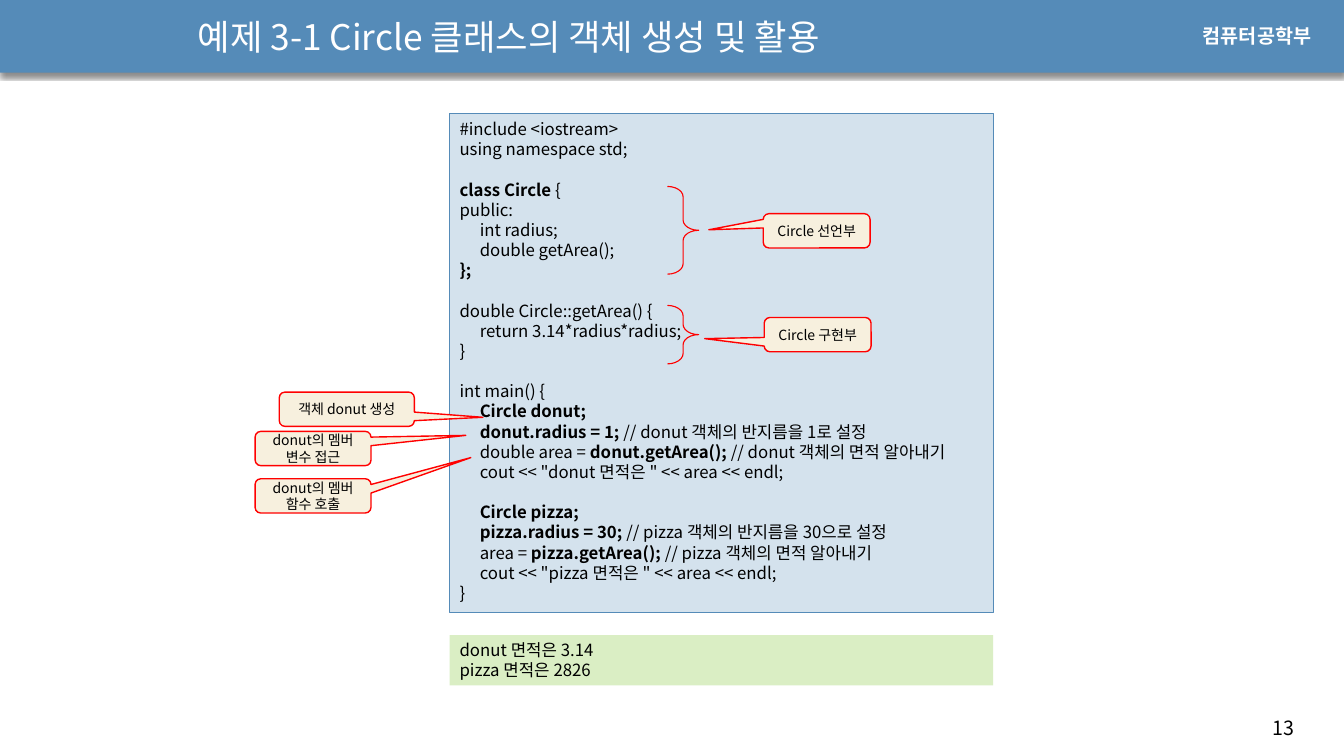
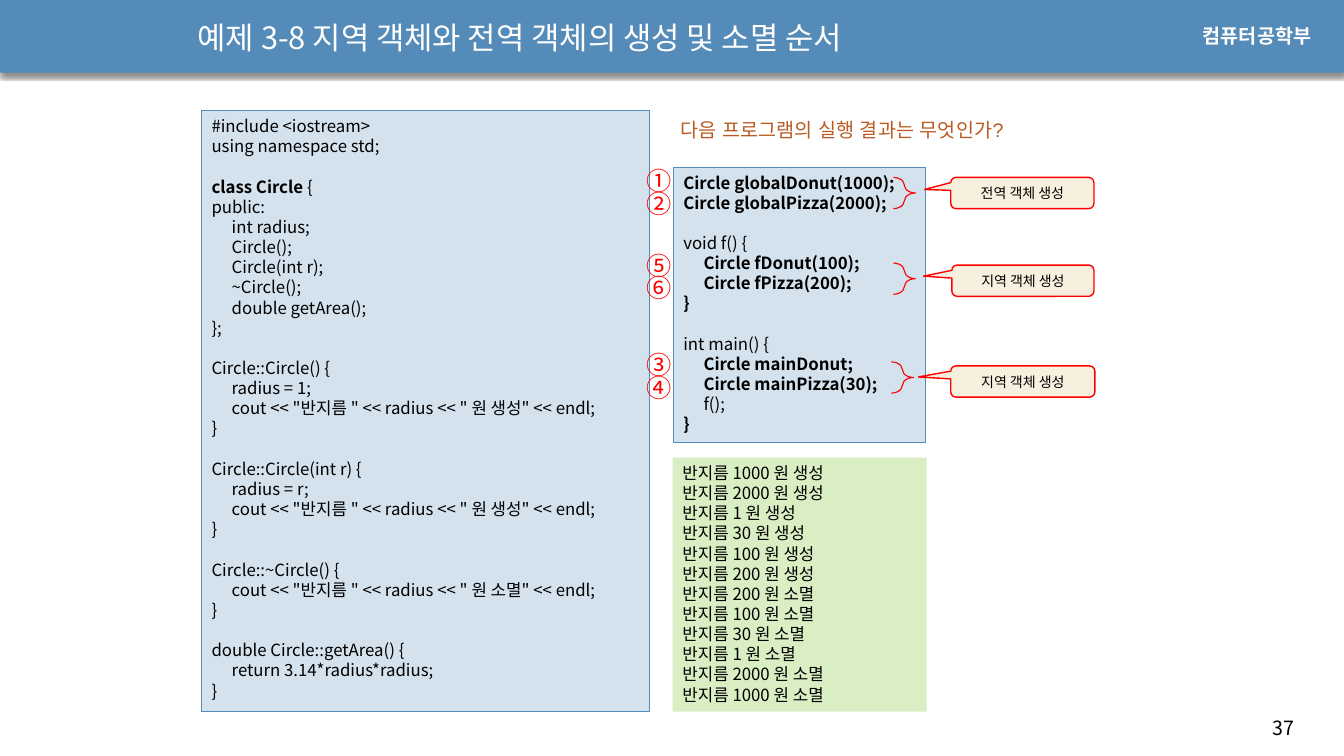
from lxml import etree
from pptx import Presentation
from pptx.dml.color import RGBColor
from pptx.enum.shapes import MSO_SHAPE
from pptx.enum.text import MSO_ANCHOR, MSO_AUTO_SIZE, PP_ALIGN
from pptx.oxml.ns import qn
from pptx.util import Inches, Pt

RECTANGLE = MSO_SHAPE.RECTANGLE
CALLOUT = MSO_SHAPE.ROUNDED_RECTANGULAR_CALLOUT
BRACE = MSO_SHAPE.RIGHT_BRACE
LEFT, CENTER = PP_ALIGN.LEFT, PP_ALIGN.CENTER
TOP, MIDDLE = MSO_ANCHOR.TOP, MSO_ANCHOR.MIDDLE
NO_AUTOFIT = MSO_AUTO_SIZE.NONE

COLORS = {
    "band": "558BB8", "code": "D4E2ED", "output": "DAEEC4", "callout": "F7F0DE",
    "red": "FF0000", "question": "B95B22", "black": "000000", "white": "FFFFFF",
}
KOREAN_FONT = "Noto Sans CJK KR"
LINE_HEIGHT = 1.2
TITLE_ONLY = 5
CODE_TAB = Inches(0.2)


def add_box(slide, preset, box, fill=None, line=None, line_width=0.75):
    """Add a preset shape, or a text box when preset is None."""
    position = [Inches(length) for length in box]
    if preset is None:
        return slide.shapes.add_textbox(*position)
    shape = slide.shapes.add_shape(preset, *position)
    shape.shadow.inherit = False
    if fill:
        shape.fill.solid()
        shape.fill.fore_color.rgb = RGBColor.from_string(COLORS[fill])
    else:
        shape.fill.background()
    if line:
        shape.line.color.rgb = RGBColor.from_string(COLORS[line])
        shape.line.width = Pt(line_width)
    else:
        shape.line.fill.background()
    return shape


def write_text(shape, text, size=12, font=KOREAN_FONT, color="black", bold=False,
               align=LEFT, anchor=TOP):
    """Write one paragraph a line; ** toggles bold, an empty line becomes space before."""
    frame = shape.text_frame
    frame.word_wrap = True
    frame.auto_size = NO_AUTOFIT
    frame.vertical_anchor = anchor
    paragraph = None
    gap = 0
    for line in text.split("\n"):
        if not line:
            gap += size * LINE_HEIGHT
            continue
        paragraph = frame.add_paragraph() if paragraph is not None else frame.paragraphs[0]
        paragraph.alignment = align
        paragraph.line_spacing = Pt(size * LINE_HEIGHT)
        paragraph.space_before = Pt(gap)
        gap = 0
        if line.startswith("\t"):
            tabs = etree.SubElement(paragraph._p.get_or_add_pPr(), qn("a:tabLst"))
            etree.SubElement(tabs, qn("a:tab"), pos=str(CODE_TAB), algn="l")
        for index, part in enumerate(line.split("**")):
            if not part:
                continue
            run = paragraph.add_run()
            run.text = part
            run.font.size = Pt(size)
            run.font.bold = bold or index % 2 == 1
            run.font.name = font
            run.font.color.rgb = RGBColor.from_string(COLORS[color])
            etree.SubElement(run.font._element, qn("a:ea"), typeface=font)


CIRCLE_CODE = """#include <iostream>
using namespace std;

**class Circle **{
public:
\tint radius;
\tdouble getArea();
**};**

double Circle::getArea() {
\treturn 3.14*radius*radius;
}

int main() {
\t**Circle donut;**
\t**donut.radius = 1; **// donut 객체의 반지름을 1로 설정
\tdouble area = **donut.getArea();** // donut 객체의 면적 알아내기
\tcout << "donut 면적은 " << area << endl;

\t**Circle pizza;**
\t**pizza.radius = 30; **// pizza 객체의 반지름을 30으로 설정
\tarea = **pizza.getArea(); **// pizza 객체의 면적 알아내기
\tcout << "pizza 면적은 " << area << endl;
}"""

LIFETIME_CLASS_CODE = """#include <iostream>
using namespace std;

**class Circle **{
public:
\tint radius;
\tCircle();
\tCircle(int r);
\t~Circle();
\tdouble getArea();
};

Circle::Circle() {
\tradius = 1;
\tcout << "반지름 " << radius << " 원 생성" << endl;
}

Circle::Circle(int r) {
\tradius = r;
\tcout << "반지름 " << radius << " 원 생성" << endl;
}

Circle::~Circle() {
\tcout << "반지름 " << radius << " 원 소멸" << endl;
}

double Circle::getArea() {
\treturn 3.14*radius*radius;
}"""

LIFETIME_MAIN_CODE = """**Circle globalDonut(1000);**
**Circle globalPizza(2000);**

void f() {
\t**Circle fDonut(100);**
\t**Circle fPizza(200);**
**}**

int main() {
\t**Circle mainDonut;**
\t**Circle mainPizza(30);**
\tf();
**}**"""

radii = [1000, 2000, 1, 30, 100, 200]
lifetime_output = "\n".join(
    [f"반지름 {radius} 원 생성" for radius in radii]
    + [f"반지름 {radius} 원 소멸" for radius in reversed(radii)])

# Boxes are left, top, width, height; a callout also has the point of its tip.
PAGES = [
    {
        "title": "예제 3-1 Circle 클래스의 객체 생성 및 활용",
        "title_size": 25.2, "title_width": 7.4, "number": "13",
        "code": [((4.46, 1.13, 5.39, 4.95), CIRCLE_CODE)],
        "output": ((4.46, 6.3, 5.39, 0.5), "donut 면적은 3.14\npizza 면적은 2826"),
        "callouts": [
            ((2.77, 3.89, 1.34, 0.34), (4.79, 4.14), "객체 donut 생성"),
            ((2.53, 4.28, 1.15, 0.34), (4.62, 4.32), "donut의 멤버 변수 접근"),
            ((2.53, 4.75, 1.15, 0.34), (4.67, 4.54), "donut의 멤버 함수 호출"),
            ((7.57, 2.12, 1.06, 0.34), (7.03, 2.28), "Circle 선언부"),
            ((7.58, 3.15, 1.06, 0.34), (6.99, 3.36), "Circle 구현부"),
        ],
        "brace_curve": 0.33,
        "braces": [(6.62, 1.85, 0.31, 0.87), (6.62, 3.03, 0.31, 0.58)],
        "question": None,
        "steps": [],
    },
    {
        "title": "예제 3-8 지역 객체와 전역 객체의 생성 및 소멸 순서",
        "title_size": 22, "title_width": 8.03, "number": "37",
        "code": [((2, 1.1, 4.44, 5.96), LIFETIME_CLASS_CODE),
                 ((6.68, 1.66, 2.5, 2.73), LIFETIME_MAIN_CODE)],
        "output": ((6.67, 4.54, 2.52, 2.52), lifetime_output),
        "callouts": [
            ((9.43, 1.76, 1.42, 0.31), (9.17, 1.88), "전역 객체 생성"),
            ((9.44, 2.63, 1.41, 0.31), (9.16, 2.74), "지역 객체 생성"),
            ((9.43, 3.63, 1.43, 0.31), (9.11, 3.74), "지역 객체 생성"),
        ],
        "brace_curve": 0.44,
        "braces": [(8.86, 1.76, 0.22, 0.31), (8.86, 2.61, 0.22, 0.31),
                   (8.84, 3.59, 0.22, 0.31)],
        "question": "다음 프로그램의 실행 결과는 무엇인가?",
        "steps": [("①", 1.59), ("②", 1.82), ("③", 3.42),
                  ("④", 3.64), ("⑤", 2.43), ("⑥", 2.65)],
    },
]

presentation = Presentation()
presentation.slide_width = Inches(13.33)
presentation.slide_height = Inches(7.5)
layout = presentation.slide_layouts[TITLE_ONLY]
slides = [presentation.slides.add_slide(layout) for page in PAGES]

# The band and the department name live on the layout.
band = add_box(slides[0], RECTANGLE, (0, -0.01, 13.33, 0.73), fill="band")
effects = band.element.spPr.find(qn("a:effectLst"))
shadow = etree.SubElement(effects, qn("a:outerShdw"), blurRad=str(Pt(3)),
                          dist=str(Pt(2.4)), dir="5400000", rotWithShape="0")
shadow_color = etree.SubElement(shadow, qn("a:srgbClr"), val=COLORS["black"])
etree.SubElement(shadow_color, qn("a:alpha"), val="45000")
department = add_box(slides[0], None, (11.83, 0.19, 1.37, 0.34))
write_text(department, "컴퓨터공학부", size=14, font="Arial", color="white", bold=True)
for shape_id, shape in enumerate((band, department), start=20):
    shape.element.xpath(".//p:cNvPr")[0].set("id", str(shape_id))
    layout.shapes.element.append(shape.element)

for slide, page in zip(slides, PAGES):
    title = slide.shapes.title
    title.left, title.top = Inches(1.86), Inches(0.05)
    title.width, title.height = Inches(page["title_width"]), Inches(0.63)
    write_text(title, page["title"], size=page["title_size"], color="white", anchor=MIDDLE)

    for box, code in page["code"]:
        write_text(add_box(slide, RECTANGLE, box, fill="code", line="band"), code)
    output_box, output = page["output"]
    write_text(add_box(slide, RECTANGLE, output_box, fill="output"), output)

    for box, tip, label in page["callouts"]:
        callout = add_box(slide, CALLOUT, box, fill="callout", line="red", line_width=1)
        left, top, width, height = box
        callout.adjustments[0] = (tip[0] - left) / width - 0.5
        callout.adjustments[1] = (tip[1] - top) / height - 0.5
        write_text(callout, label, size=10, align=CENTER, anchor=MIDDLE)

    for box in page["braces"]:
        brace = add_box(slide, BRACE, box, line="red", line_width=0.79)
        brace.adjustments[0] = page["brace_curve"]

    if page["question"]:
        question = add_box(slide, None, (6.65, 1.12, 4.35, 0.34))
        write_text(question, page["question"], size=14, font="Arial", color="question")
    for step, top in page["steps"]:
        write_text(add_box(slide, None, (6.31, top, 0.39, 0.4)), step, size=18, color="red")

    number = add_box(slide, None, (12.52, 7.05, 0.71, 0.34))
    write_text(number, page["number"], size=14)

presentation.save("out.pptx")
